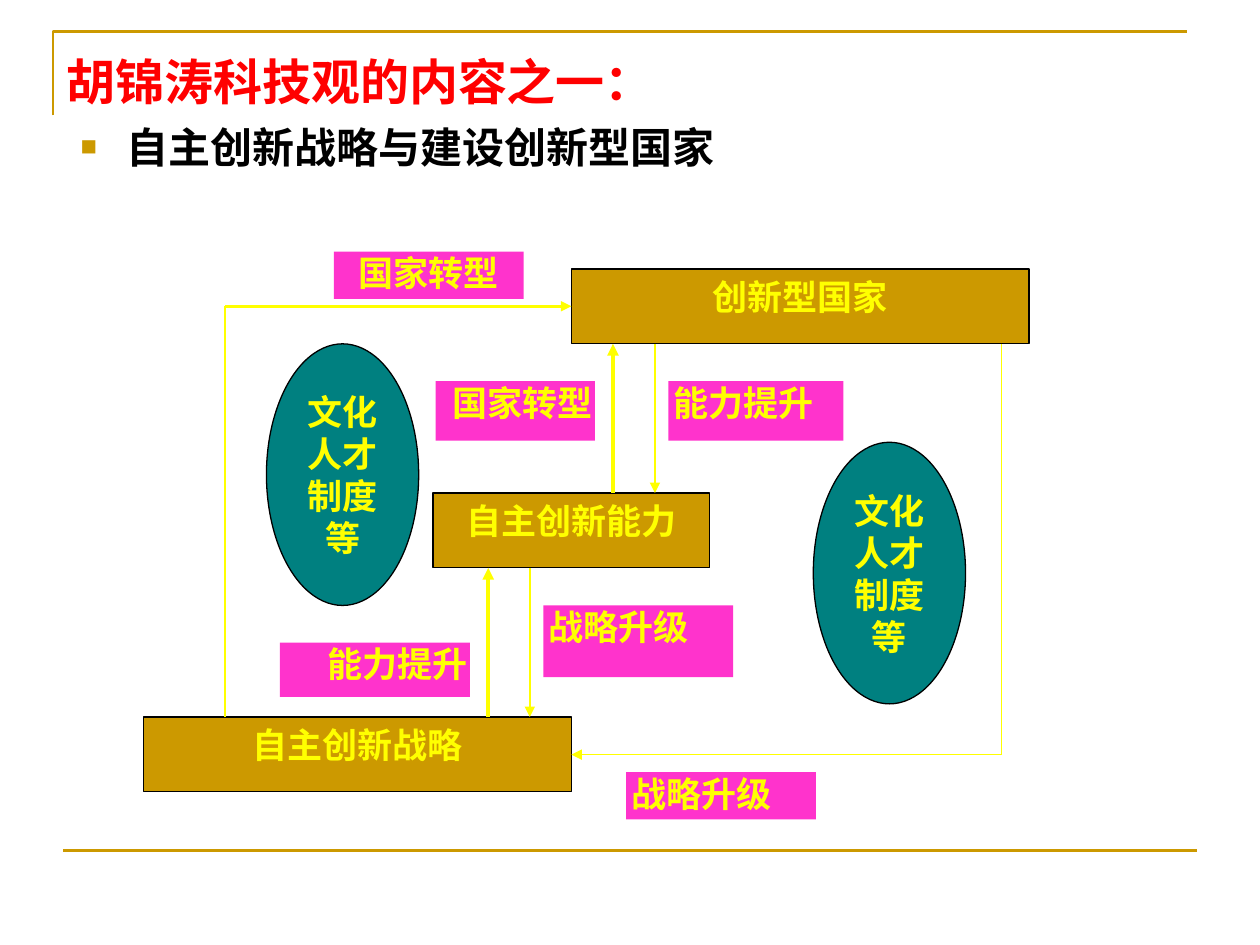
import pptx
import pptx.dml.color
import pptx.enum.shapes
import pptx.enum.text
import pptx.oxml.ns
import pptx.util
from dataclasses import dataclass
from lxml import etree

Pt = pptx.util.Pt
SHAPE = pptx.enum.shapes.MSO_SHAPE
ALIGN = pptx.enum.text.PP_ALIGN
ANCHOR = pptx.enum.text.MSO_ANCHOR
qn = pptx.oxml.ns.qn


@dataclass(frozen=True)
class Theme:
    gold: str = "CC9900"
    yellow: str = "FFFF00"
    pink: str = "FF33CC"
    teal: str = "008080"
    red: str = "FF0000"
    black: str = "000000"
    title_size: int = 28
    subtitle_size: int = 24
    diagram_size: int = 20
    heading_font: str = "Arial"
    diagram_font: str = "Times New Roman"


THEME = Theme()


def rgb(value):
    return pptx.dml.color.RGBColor.from_string(value)


def write(paragraph, text, *, size=THEME.diagram_size, color=THEME.yellow,
          font=THEME.diagram_font, align=None):
    paragraph.alignment = align
    run = paragraph.add_run()
    run.text = text
    run.font.size = Pt(size)
    run.font.name = font
    run.font.bold = True
    run.font.color.rgb = rgb(color)


def set_insets(frame, left, top, right, bottom):
    frame.margin_left, frame.margin_top = Pt(left), Pt(top)
    frame.margin_right, frame.margin_bottom = Pt(right), Pt(bottom)


def add_block(slide, box, lines, *, fill, kind=SHAPE.RECTANGLE, outline=True,
              insets=(7.2, 3.6, 7.2, 3.6), align=ALIGN.CENTER, anchor=ANCHOR.TOP):
    block = slide.shapes.add_shape(kind, *map(Pt, box))
    block.shadow.inherit = False
    block.fill.solid()
    block.fill.fore_color.rgb = rgb(fill)
    if outline:
        block.line.color.rgb = rgb(THEME.black)
        block.line.width = Pt(0.75)
    else:
        block.line.fill.background()
    frame = block.text_frame
    frame.word_wrap = True
    frame.vertical_anchor = anchor
    set_insets(frame, *insets)
    for index, line in enumerate(lines):
        paragraph = frame.add_paragraph() if index else frame.paragraphs[0]
        write(paragraph, line, align=align)


def add_label(slide, box, text, align):
    side_insets = (7.2, 0, 7.2, 0) if align == ALIGN.CENTER else (2.9, 0, 1.4, 0)
    add_block(slide, box, [text], fill=THEME.pink, outline=False,
              insets=side_insets, align=align)


def add_line(slide, start, end, *, width, color=THEME.yellow, arrow=False):
    line = slide.shapes.add_connector(
        pptx.enum.shapes.MSO_CONNECTOR.STRAIGHT, *map(Pt, (*start, *end)))
    line.line.color.rgb = rgb(color)
    line.line.width = Pt(width)
    if arrow:
        etree.SubElement(line.line._get_or_add_ln(), qn("a:tailEnd"), type="triangle")
    etree.SubElement(line._element.spPr, qn("a:effectLst"))


def add_frame(slide):
    """Gold corner at the top left and gold rule at the bottom."""
    builder = slide.shapes.build_freeform(Pt(30.25), Pt(66), scale=1.0)
    builder.add_line_segments(
        [(Pt(30.25), Pt(18)), (Pt(678.25), Pt(18))], close=False)
    corner = builder.convert_to_shape()
    corner.shadow.inherit = False
    corner.fill.background()
    corner.line.color.rgb = rgb(THEME.gold)
    corner.line.width = Pt(1.5)
    add_line(slide, (36, 486), (684, 486), width=1.5, color=THEME.gold)


def add_bullet(paragraph):
    props = paragraph._p.get_or_add_pPr()
    props.set("marL", str(Pt(34)))
    props.set("indent", str(Pt(-26)))
    color = etree.SubElement(props, qn("a:buClr"))
    etree.SubElement(color, qn("a:srgbClr"), val=THEME.gold)
    etree.SubElement(props, qn("a:buSzPct"), val="65000")
    etree.SubElement(props, qn("a:buFont"), typeface=THEME.heading_font)
    etree.SubElement(props, qn("a:buChar"), char="■")


def add_heading(slide):
    frame = slide.shapes.add_textbox(Pt(31), Pt(26), Pt(648), Pt(434)).text_frame
    frame.word_wrap = True
    set_insets(frame, 7.2, 3.6, 7.2, 3.6)
    write(frame.paragraphs[0], "胡锦涛科技观的内容之一：", size=THEME.title_size,
          color=THEME.red, font=THEME.heading_font)
    subtitle = frame.add_paragraph()
    add_bullet(subtitle)
    subtitle.space_before = Pt(6)
    write(subtitle, "自主创新战略与建设创新型国家", size=THEME.subtitle_size,
          color=THEME.black, font=THEME.heading_font)


def add_stages(slide):
    for box, name in (
        ((82, 409.75, 244.5, 42.75), "自主创新战略"),
        ((247.5, 281.75, 158, 42.75), "自主创新能力"),
        ((326.5, 153.75, 261.5, 42.75), "创新型国家"),
    ):
        add_block(slide, box, [name], fill=THEME.gold)


def add_flows(slide):
    for start, end, width, arrow in (
        ((279, 409.75), (279, 324.5), 2.25, True),
        ((350.25, 281.75), (350.25, 196.5), 2.25, True),
        ((128.5, 409.75), (128.5, 175), 1.5, False),
        ((128.5, 175), (326.5, 175), 1.5, True),
        ((572.25, 196.5), (572.25, 431.25), 0.75, False),
        ((572.25, 431.25), (326.5, 431.25), 0.75, True),
        ((374.25, 196.5), (374.25, 281.75), 1, True),
        ((302.75, 324.5), (302.75, 409.75), 1, True),
    ):
        add_line(slide, start, end, width=width, arrow=arrow)


def add_factors(slide):
    for left, top in ((152.25, 196.5), (464.75, 252.75)):
        add_block(slide, (left, top, 87, 149.5), ["文化", "人才", "制度", "等"],
                  fill=THEME.teal, kind=SHAPE.OVAL, anchor=ANCHOR.MIDDLE)


def add_labels(slide):
    for box, text, align in (
        ((190.75, 143.75, 108.5, 27), "国家转型", ALIGN.CENTER),
        ((249, 217.75, 91, 34), "国家转型", ALIGN.RIGHT),
        ((160, 367.25, 108.5, 31), "能力提升", ALIGN.RIGHT),
        ((382, 217.75, 100, 34), "能力提升", ALIGN.JUSTIFY),
        ((310.5, 346, 108.5, 41), "战略升级", ALIGN.JUSTIFY),
        ((357.75, 441.25, 108.5, 27), "战略升级", ALIGN.JUSTIFY),
    ):
        add_label(slide, box, text, align)


def main():
    deck = pptx.Presentation()
    deck.slide_width, deck.slide_height = Pt(720), Pt(540)
    slide = deck.slides.add_slide(deck.slide_layouts[6])
    add_frame(slide)
    add_heading(slide)
    add_stages(slide)
    add_flows(slide)
    add_factors(slide)
    add_labels(slide)
    deck.save("out.pptx")


if __name__ == "__main__":
    main()
